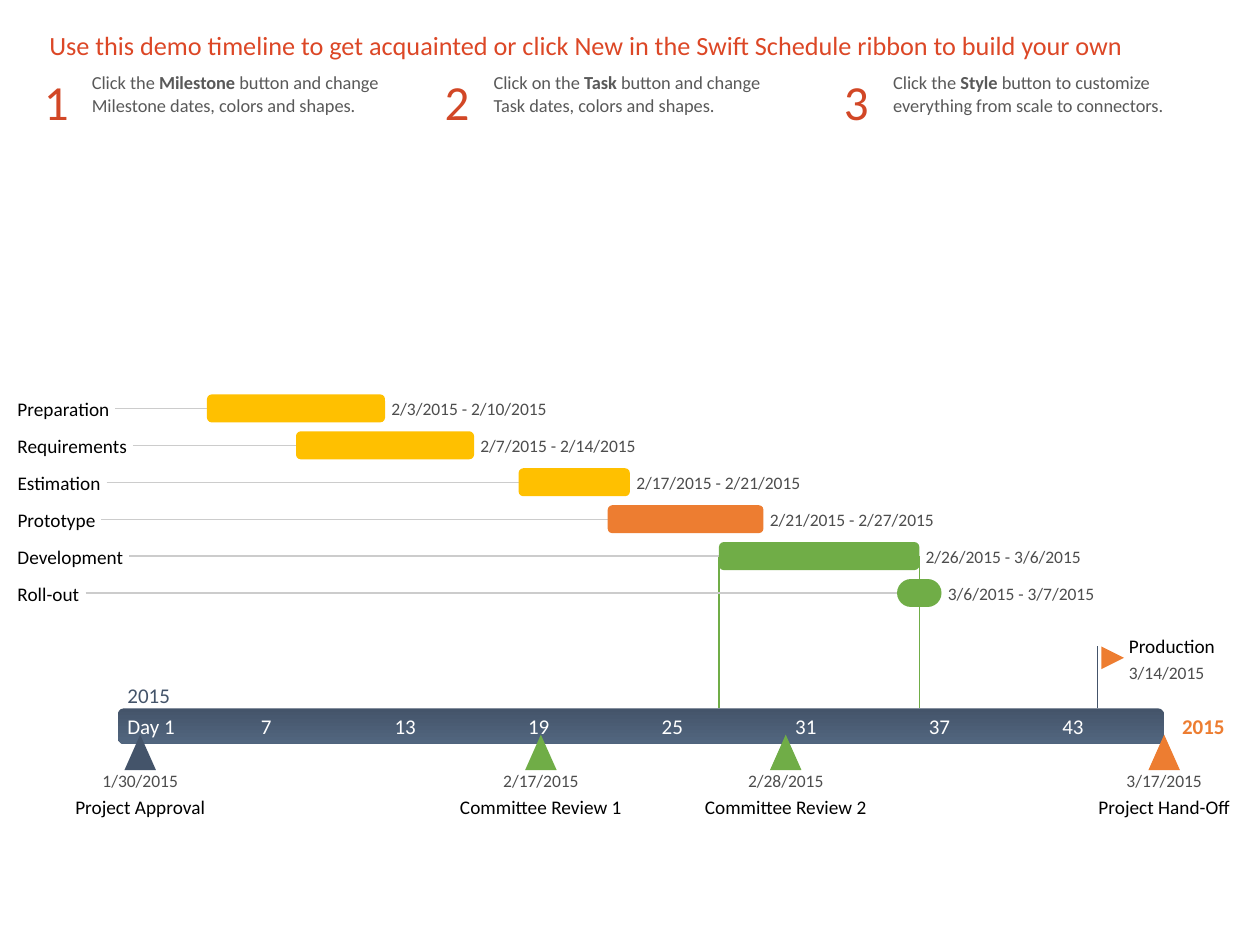
from dataclasses import dataclass

import pptx
import pptx.dml.color
import pptx.enum.shapes
import pptx.enum.text
import pptx.oxml.ns
import pptx.util
from lxml import etree

Pt = pptx.util.Pt
SHAPE = pptx.enum.shapes.MSO_SHAPE
ALIGN = pptx.enum.text.PP_ALIGN
ANCHOR = pptx.enum.text.MSO_ANCHOR
AUTO_SIZE = pptx.enum.text.MSO_AUTO_SIZE


@dataclass(frozen=True)
class Theme:
    font: str = "Calibri"
    headline: str = "DC4726"
    number: str = "D24726"
    instruction: str = "595959"
    slate: str = "44546A"
    slate_light: str = "52667F"
    yellow: str = "FFC000"
    orange: str = "ED7D31"
    green: str = "70AD47"
    leader: str = "CCCCCC"
    name: str = "000000"
    date: str = "4D4D4D"
    white: str = "FFFFFF"
    headline_size: float = 15
    number_size: float = 28
    instruction_size: float = 10.5
    scale_size: float = 12
    name_size: float = 11
    date_size: float = 10


THEME = Theme()

# The scale: day 1 is 1/30/2015, day 47 is 3/17/2015.
SCALE_LEFT, DAY_WIDTH, LAST_DAY = 67.4, 12.72, 47
BAND_TOP, BAND_HEIGHT = 404.8, 20.2
TASK_TOP, TASK_STEP, TASK_HEIGHT = 225.4, 21.1, 16
TASK_NAME_LEFT = 10

# Name, name width, first day, last day, dates, colour
TASKS = [
    ("Preparation", 56, 5, 12, "2/3/2015 - 2/10/2015", THEME.yellow),
    ("Requirements", 66, 9, 16, "2/7/2015 - 2/14/2015", THEME.yellow),
    ("Estimation", 51, 19, 23, "2/17/2015 - 2/21/2015", THEME.yellow),
    ("Prototype", 48, 23, 29, "2/21/2015 - 2/27/2015", THEME.orange),
    ("Development", 64, 28, 36, "2/26/2015 - 3/6/2015", THEME.green),
    ("Roll-out", 39, 36, 37, "3/6/2015 - 3/7/2015", THEME.green),
]
MILESTONES = [
    ("Project Approval", 1, "1/30/2015", THEME.slate),
    ("Committee Review 1", 19, "2/17/2015", THEME.green),
    ("Committee Review 2", 30, "2/28/2015", THEME.green),
    ("Project Hand-Off", 47, "3/17/2015", THEME.orange),
]
# Number left, instruction left, instruction width, instruction
INSTRUCTIONS = [
    (18, 45.4, 198, "Click the **Milestone** button and change Milestone dates, colors and shapes."),
    (247, 275, 189.4, "Click on the **Task** button and change\nTask dates, colors and shapes."),
    (475.2, 503.3, 201, "Click the **Style** button to customize everything from scale to connectors."),
]


def rgb(color):
    return pptx.dml.color.RGBColor.from_string(color)


def day_end(day):
    return SCALE_LEFT + day * DAY_WIDTH


def day_start(day):
    return day_end(day - 1)


def task_top(row):
    return TASK_TOP + row * TASK_STEP


def write(frame, text, *, size, color, bold=False, align=ALIGN.LEFT,
          anchor=ANCHOR.MIDDLE, wrap=False, inset=None, auto_size=AUTO_SIZE.NONE):
    """Fill a text frame; newlines part paragraphs, ** marks bold words."""
    frame.word_wrap = wrap
    frame.auto_size = auto_size
    frame.vertical_anchor = anchor
    if inset is not None:
        frame.margin_left = frame.margin_right = Pt(inset)
        frame.margin_top = frame.margin_bottom = Pt(inset)
    for index, line in enumerate(text.split("\n")):
        paragraph = frame.add_paragraph() if index else frame.paragraphs[0]
        paragraph.alignment = align
        for part, words in enumerate(line.split("**")):
            run = paragraph.add_run()
            run.text = words
            run.font.name = THEME.font
            run.font.size = Pt(size)
            run.font.bold = bold or part % 2 == 1
            run.font.color.rgb = rgb(color)


def add_text(slide, left, top, width, height, text, **text_format):
    box = slide.shapes.add_textbox(Pt(left), Pt(top), Pt(width), Pt(height))
    write(box.text_frame, text, **text_format)


def add_label(slide, left, top, width, height, text, **text_format):
    add_text(slide, left, top, width, height, text, inset=0, **text_format)


def add_line(slide, x1, y1, x2, y2, color):
    line = slide.shapes.add_connector(
        pptx.enum.shapes.MSO_CONNECTOR.STRAIGHT, Pt(x1), Pt(y1), Pt(x2), Pt(y2))
    line.line.color.rgb = rgb(color)
    line.line.width = Pt(0.75)
    properties = line._element.spPr
    etree.SubElement(properties, pptx.oxml.ns.qn("a:effectLst"))


def add_filled(slide, kind, left, top, width, height, color):
    shape = slide.shapes.add_shape(kind, Pt(left), Pt(top), Pt(width), Pt(height))
    shape.shadow.inherit = False
    shape.fill.solid()
    shape.fill.fore_color.rgb = rgb(color)
    shape.line.fill.background()
    return shape


def add_headline(slide):
    title = slide.shapes.title
    title.left, title.top, title.width, title.height = Pt(21), Pt(5.8), Pt(667.4), Pt(32.4)
    write(title.text_frame,
          "Use this demo timeline to get acquainted or click New in the "
          "Swift Schedule ribbon to build your own",
          size=THEME.headline_size, color=THEME.headline, anchor=ANCHOR.BOTTOM, wrap=True)


def add_instructions(slide):
    for number, (number_left, left, width, text) in enumerate(INSTRUCTIONS, start=1):
        add_text(slide, left, 37.4, width, 32.4, text, size=THEME.instruction_size,
                 color=THEME.instruction, anchor=ANCHOR.TOP, wrap=True,
                 auto_size=AUTO_SIZE.SHAPE_TO_FIT_TEXT)
        add_text(slide, number_left, 37.4, 28.8, 41, str(number), size=THEME.number_size,
                 color=THEME.number, anchor=ANCHOR.TOP,
                 auto_size=AUTO_SIZE.SHAPE_TO_FIT_TEXT)


def add_guides(slide):
    """Draw the lines that lie behind the bars and the time band."""
    development_middle, rollout_top = task_top(4) + TASK_HEIGHT / 2, task_top(5)
    add_line(slide, day_end(44), 369.4, day_end(44), BAND_TOP, THEME.slate)
    for x, top, bottom in [
        (day_end(36), rollout_top + TASK_HEIGHT, BAND_TOP),
        (day_end(36), development_middle, rollout_top),
        (day_start(28), development_middle, BAND_TOP),
    ]:
        add_line(slide, x, top, x, bottom, THEME.green)
    for row, (_, name_width, first, *_) in enumerate(TASKS):
        middle = task_top(row) + TASK_HEIGHT / 2
        add_line(slide, TASK_NAME_LEFT + name_width, middle,
                 day_start(first), middle, THEME.leader)


def add_time_band(slide):
    band = add_filled(slide, SHAPE.ROUNDED_RECTANGLE, SCALE_LEFT, BAND_TOP,
                      LAST_DAY * DAY_WIDTH, BAND_HEIGHT, THEME.slate)
    band.fill.gradient()
    band.fill.gradient_angle = 270
    for stop, color in zip(band.fill.gradient_stops, (THEME.slate, THEME.slate_light)):
        stop.color.rgb = rgb(color)
    for day in range(1, LAST_DAY - 3, 6):
        add_label(slide, day_start(day) + 5.4, 408.2, 28 if day == 1 else 13, 13.7,
                  f"Day {day}" if day == 1 else str(day),
                  size=THEME.scale_size, color=THEME.white)
    add_label(slide, day_start(1) + 5.4, 390.2, 26, 14.4, "2015",
              size=THEME.scale_size, color=THEME.slate)
    add_label(slide, 674.6, 407.5, 26, 14.4, "2015", size=THEME.scale_size,
              color=THEME.orange, bold=True, align=ALIGN.CENTER)


def add_task(slide, row, name, name_width, first, last, dates, color):
    top, left, right = task_top(row), day_start(first), day_end(last)
    bar = add_filled(slide, SHAPE.ROUNDED_RECTANGLE, left, top,
                     right - left, TASK_HEIGHT, color)
    if name == "Roll-out":
        bar.adjustments[0] = 0.5
    add_label(slide, right + 3.6, top + 2, 90, 12.2, dates,
              size=THEME.date_size, color=THEME.date)
    add_label(slide, TASK_NAME_LEFT, top + 1.4, name_width, 13.7, name,
              size=THEME.name_size, color=THEME.name)


def add_milestone(slide, name, day, date, color):
    center = day_end(day)
    add_label(slide, center - 46.5, 454.3, 93, 13.7, name, size=THEME.name_size,
              color=THEME.name, align=ALIGN.CENTER)
    add_label(slide, center - 22, 440, 44, 12.2, date, size=THEME.date_size,
              color=THEME.date, align=ALIGN.CENTER)
    add_filled(slide, SHAPE.ISOSCELES_TRIANGLE, center - 9, 419.8, 18, 20.2, color)


def add_production_flag(slide):
    add_label(slide, 645.1, 362.2, 50, 13.7, "Production",
              size=THEME.name_size, color=THEME.name)
    add_label(slide, 645.1, 378, 44, 12.2, "3/14/2015",
              size=THEME.date_size, color=THEME.date)
    flag = add_filled(slide, SHAPE.FLOWCHART_MERGE, 629.3, 369.4, 13, 13, THEME.orange)
    flag.rotation = 270


def main():
    deck = pptx.Presentation()
    deck.slide_width, deck.slide_height = Pt(720), Pt(540)
    slide = deck.slides.add_slide(deck.slide_layouts.get_by_name("Title Only"))
    add_headline(slide)
    add_guides(slide)
    add_time_band(slide)
    add_production_flag(slide)
    for milestone in MILESTONES:
        add_milestone(slide, *milestone)
    for row, task in enumerate(TASKS):
        add_task(slide, row, *task)
    add_instructions(slide)
    deck.save("out.pptx")


if __name__ == "__main__":
    main()
